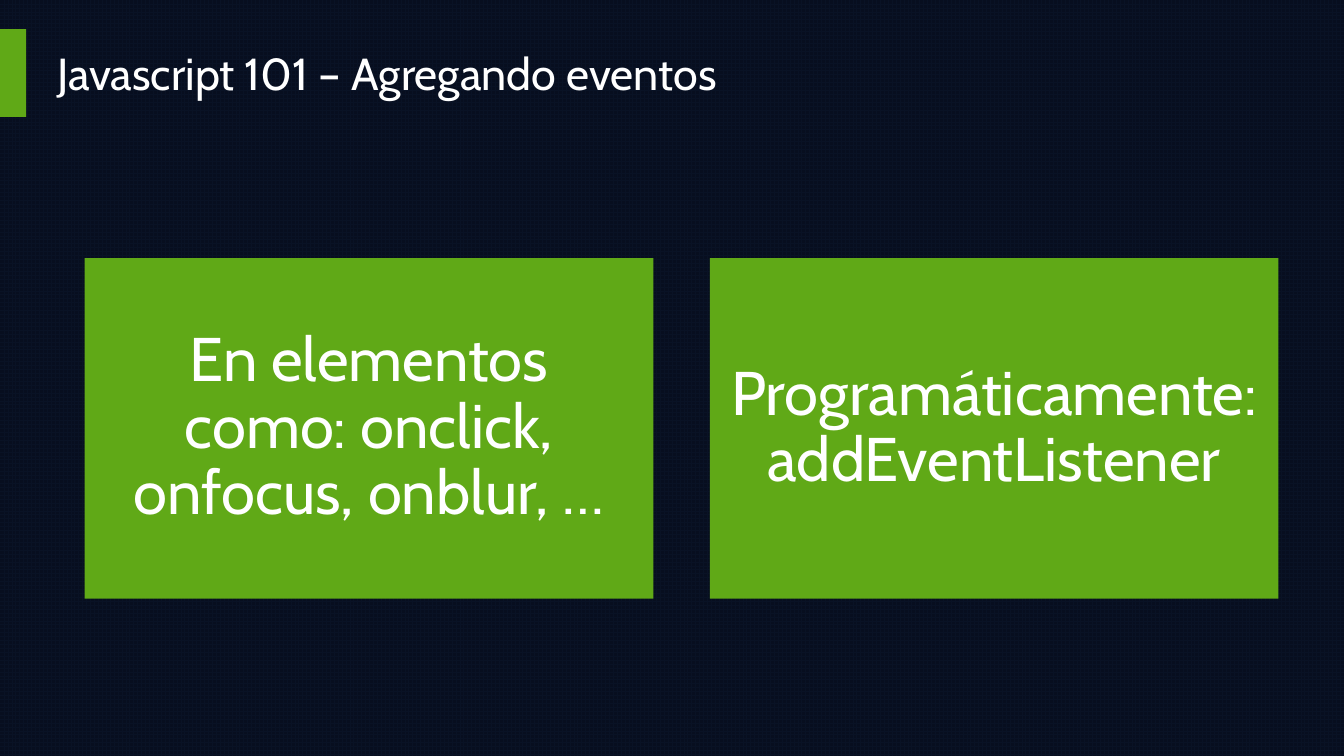
from dataclasses import dataclass

from pptx import Presentation
from pptx.dml.color import RGBColor as Rgb
from pptx.enum.dml import MSO_PATTERN as Pat
from pptx.enum.shapes import MSO_SHAPE as Kind
from pptx.enum.text import MSO_ANCHOR as Anchor, PP_ALIGN as Align
from pptx.shapes.autoshape import Shape
from pptx.slide import Slide
from pptx.util import Inches, Pt


@dataclass(frozen=True)
class Theme:
    green: Rgb = Rgb(0x60, 0xA9, 0x17)
    white: Rgb = Rgb(0xFF, 0xFF, 0xFF)
    grid: Rgb = Rgb(0x09, 0x12, 0x25)
    night: Rgb = Rgb(0x07, 0x0E, 0x1F)
    face: str = "Cabin"
    title: int = 32
    card: int = 44


@dataclass(frozen=True)
class Box:
    left: float
    top: float
    width: float
    height: float

    def place(self) -> list[int]:
        return [Inches(n) for n in (self.left, self.top, self.width, self.height)]


THEME = Theme()
BAR = Box(0, 0.29, 0.26, 0.87)
TITLE = Box(0.47, 0.29, 9.45, 0.85)
FIRST = Box(0.84, 2.56, 5.64, 3.38)
STEP = 6.2
CARDS = (
    "En elementos como: onclick, onfocus, onblur, …",
    "Programáticamente: addEventListener",
)


def apply(item: object, style: dict[str, object]) -> None:
    for name, value in style.items():
        setattr(item, name, value)


def write(shape: Shape, text: str, size: int, align: Align,
          inset: float, space: float) -> None:
    frame = shape.text_frame
    side = Inches(inset)
    apply(frame, {
        "text": text, "word_wrap": True, "vertical_anchor": Anchor.MIDDLE,
        "margin_left": side, "margin_right": side,
        "margin_top": side, "margin_bottom": side,
    })
    para = frame.paragraphs[0]
    apply(para, {"alignment": align, "line_spacing": space})
    font = para.runs[0].font
    apply(font, {"name": THEME.face, "size": Pt(size)})
    font.color.rgb = THEME.white


def block(slide: Slide, box: Box) -> Shape:
    shape = slide.shapes.add_shape(Kind.RECTANGLE, *box.place())
    shape.shadow.inherit = False
    shape.fill.solid()
    shape.fill.fore_color.rgb = THEME.green
    shape.line.fill.background()
    return shape


def paint(slide: Slide) -> None:
    fill = slide.background.fill
    fill.patterned()
    fill.pattern = Pat.LARGE_GRID
    fill.fore_color.rgb = THEME.grid
    fill.back_color.rgb = THEME.night


def main() -> None:
    deck = Presentation()
    apply(deck, {"slide_width": Inches(13.33), "slide_height": Inches(7.5)})
    slide = deck.slides.add_slide(deck.slide_layouts[6])
    paint(slide)
    block(slide, BAR)
    title = slide.shapes.add_textbox(*TITLE.place())
    write(title, "Javascript 101 – Agregando eventos", THEME.title,
          Align.LEFT, 0.1, 1.0)
    for index, text in enumerate(CARDS):
        box = Box(FIRST.left + index * STEP, FIRST.top, FIRST.width, FIRST.height)
        write(block(slide, box), text, THEME.card, Align.CENTER, 0.18, 0.9)
    deck.save("out.pptx")


if __name__ == "__main__":
    main()
